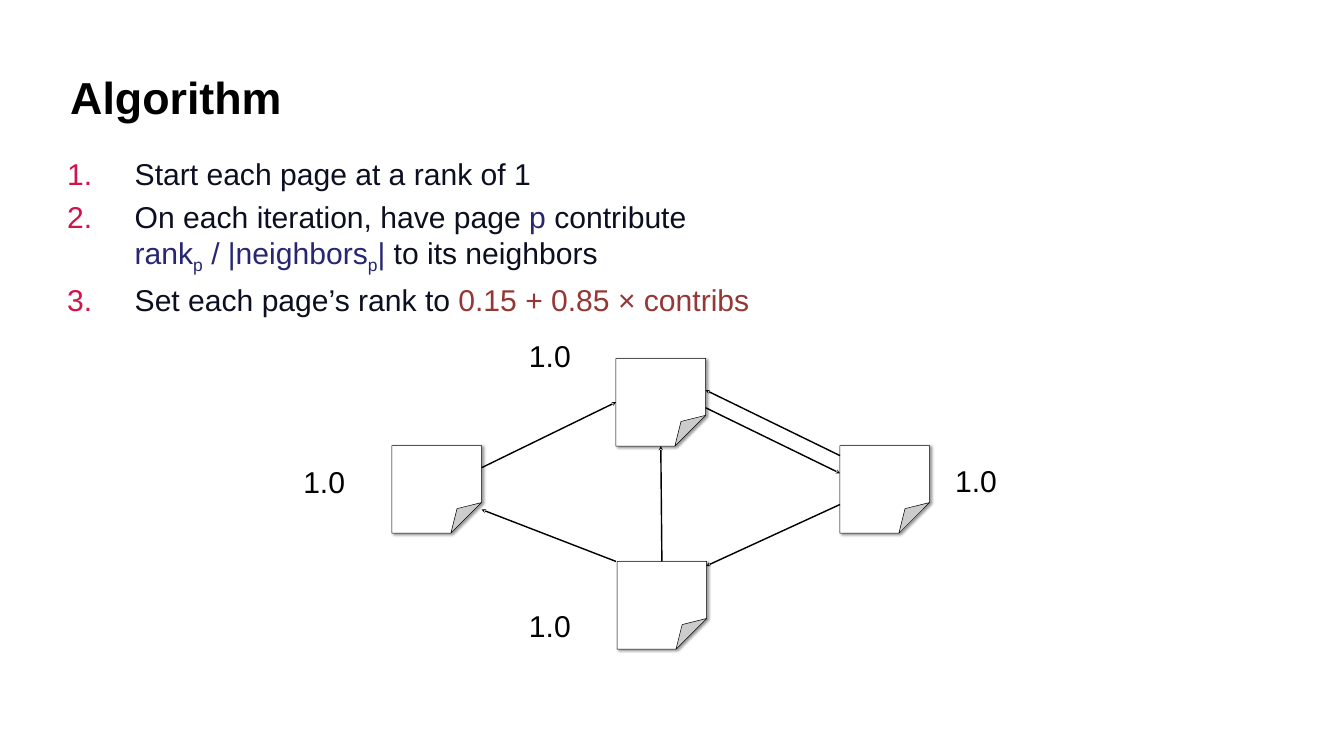
import pptx
import pptx.dml.color
import pptx.enum.shapes
import pptx.enum.text
import pptx.oxml
import pptx.oxml.ns
import pptx.util

prs = pptx.Presentation()
prs.slide_width = pptx.util.Inches(26.67)
prs.slide_height = pptx.util.Inches(15)
s = prs.slides.add_slide(prs.slide_layouts[6])
COL, ROW = prs.slide_width / 24, prs.slide_height / 15
NS = pptx.oxml.ns.nsdecls("a")
MIDDLE = pptx.enum.text.MSO_ANCHOR.MIDDLE
TOP = pptx.enum.text.MSO_ANCHOR.TOP


def rgb(value):
    return pptx.dml.color.RGBColor.from_string(value)


def add_text(box, paragraphs, size, inset, **frame):
    """Add a text box; each paragraph is a list of (text, colour, font format)."""
    x, y, w, h = box
    tf = s.shapes.add_textbox(int(x * COL), int(y * ROW), int(w * COL), int(h * ROW)).text_frame
    tf.margin_left = tf.margin_right = pptx.util.Inches(inset[0])
    tf.margin_top = tf.margin_bottom = pptx.util.Inches(inset[1])
    for name, value in frame.items():
        setattr(tf, name, value)
    for i, runs in enumerate(paragraphs):
        p = tf.add_paragraph() if i else tf.paragraphs[0]
        for text, colour, form in runs:
            if text == "\n":
                p.add_line_break()
                continue
            r = p.add_run()
            r.text = text
            r.font.color.rgb = rgb(colour)
            for name, value in {"name": "Arial", "size": pptx.util.Pt(size), **form}.items():
                if name == "baseline":
                    r.font._element.set(name, value)
                else:
                    setattr(r.font, name, value)
    return tf


add_text((1.2, 0.67, 21.6, 2.5), [[("Algorithm", "000000", {"bold": True})]], 64,
         (0.06, 0.06), word_wrap=True, vertical_anchor=MIDDLE)

# Pages: column, row
pages = {"left": (7, 8.84), "top": (11, 7.11), "right": (15, 8.84), "bottom": (11.02, 11.14)}
page_shapes = {}
for name, (x, y) in pages.items():
    sp = s.shapes.add_shape(pptx.enum.shapes.MSO_SHAPE.FOLDED_CORNER,
                            int(x * COL), int(y * ROW), int(1.6 * COL), int(1.74 * ROW))
    sp._element.spPr.find(".//" + pptx.oxml.ns.qn("a:avLst")).append(
        pptx.oxml.parse_xml(f'<a:gd {NS} name="adj" fmla="val 35000"/>'))
    sp.fill.solid()
    sp.fill.fore_color.rgb = rgb("FFFFFF")
    sp.line.color.rgb = rgb("000000")
    sp.line.width = pptx.util.Pt(0.75)
    sp.shadow.inherit = False
    effects = sp._element.spPr.find(pptx.oxml.ns.qn("a:effectLst"))
    effects.append(pptx.oxml.parse_xml(
        f'<a:outerShdw {NS} blurRad="50800" dist="38100" dir="2700000" algn="tl" rotWithShape="0">'
        '<a:srgbClr val="000000"><a:alpha val="40000"/></a:srgbClr></a:outerShdw>'))
    page_shapes[name] = sp

# Links: start, end, (page, side) joined at the start and at the end
links = [
    ((11, 11.14), (8.6, 10.11), None, None),
    ((11.82, 11.14), (11.8, 8.85), ("bottom", 0), ("top", 2)),
    ((8.6, 9.28), (11, 7.98), None, ("top", 1)),
    ((15, 9.04), (12.6, 7.74), None, None),
    ((12.6, 8.09), (15, 9.39), None, None),
    ((15, 10.01), (12.61, 11.23), None, None),
]
for (x1, y1), (x2, y2), begin, end in links:
    link = s.shapes.add_connector(pptx.enum.shapes.MSO_CONNECTOR.STRAIGHT,
                                  int(x1 * COL), int(y1 * ROW), int(x2 * COL), int(y2 * ROW))
    if begin:
        link.begin_connect(page_shapes[begin[0]], begin[1])
    if end:
        link.end_connect(page_shapes[end[0]], end[1])
    link.line.color.rgb = rgb("000000")
    link.line.width = pptx.util.Pt(2)
    link.line._get_or_add_ln().append(pptx.oxml.parse_xml(f'<a:tailEnd {NS} type="stealth"/>'))
    link._element.spPr.append(pptx.oxml.parse_xml(f"<a:effectLst {NS}/>"))

for x, y in [(5.2, 9.07), (16.84, 9.06), (9.23, 6.58), (9.23, 11.94)]:
    add_text((x, y, 1.19, 0.96), [[("1.0", "000000", {})]], 43, (0.24, 0.12), word_wrap=False)

DARK, BLUE, RED = "0C0F20", "262672", "953735"
SUB = {"baseline": "-25000"}
steps = [
    [("Start each page at a rank of 1", DARK, {})],
    [("On each iteration, have page ", DARK, {}), ("p", BLUE, {}), (" contribute", DARK, {}),
     ("\n", DARK, {}), ("rank", BLUE, {}), ("p", BLUE, SUB), (" / |neighbors", BLUE, {}),
     ("p", BLUE, SUB), ("|", BLUE, {}), (" to its neighbors", DARK, {})],
    [("Set each page’s rank to ", DARK, {}), ("0.15 + 0.85 × contribs", RED, {})],
]
tf = add_text((1.2, 3.08, 21.6, 4.37), steps, 43, (0, 0), word_wrap=True, vertical_anchor=TOP)
indent = pptx.util.Inches(1.34)
for i, p in enumerate(tf.paragraphs):
    if i:
        p.space_before = pptx.util.Pt(9.5)
    pPr = p._p.get_or_add_pPr()
    pPr.set("marL", str(indent))
    pPr.set("indent", str(-indent))
    pPr.append(pptx.oxml.parse_xml(f'<a:buClr {NS}><a:srgbClr val="D11349"/></a:buClr>'))
    pPr.append(pptx.oxml.parse_xml(f'<a:buFont {NS} typeface="Arial"/>'))
    pPr.append(pptx.oxml.parse_xml(f'<a:buAutoNum {NS} type="arabicPeriod"/>'))

prs.save("out.pptx")
